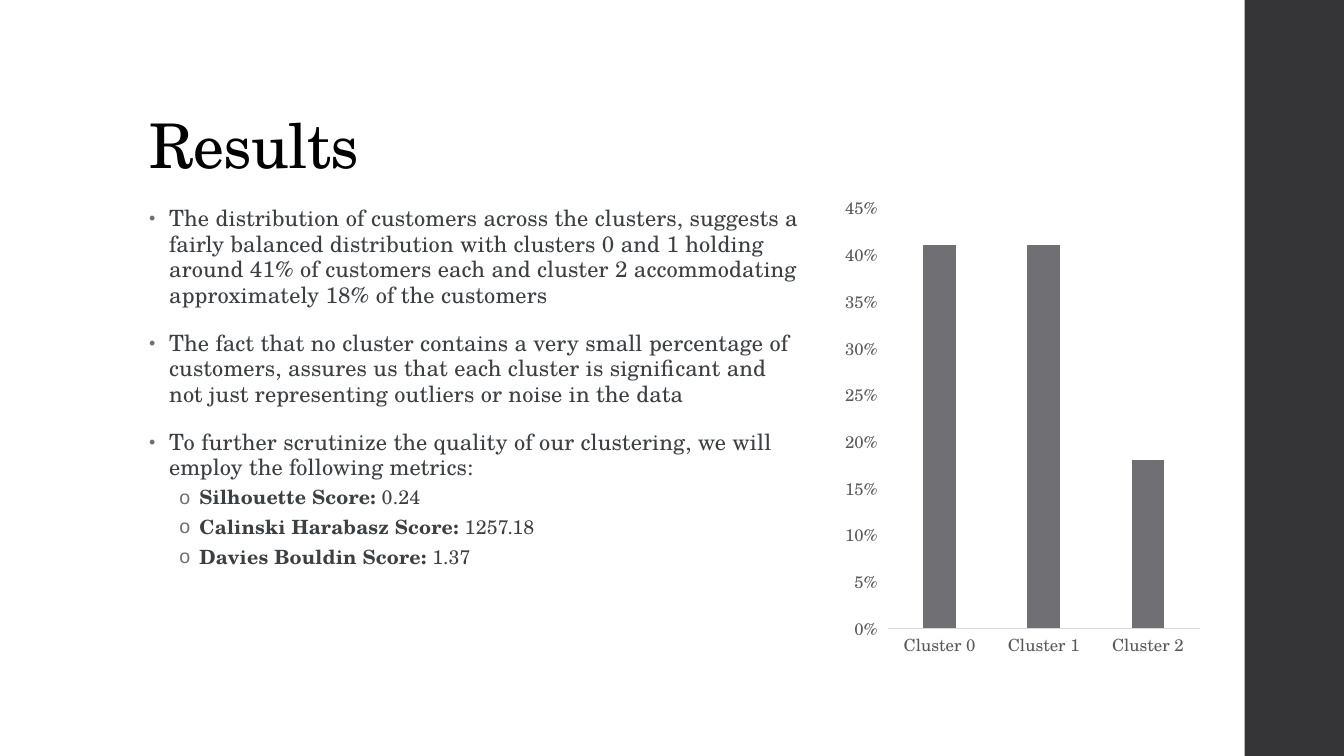
"""Build the clustering results slide with its findings and column chart."""
import lxml.etree
import pptx
import pptx.chart.data
import pptx.dml.color
import pptx.enum.chart
import pptx.enum.shapes
import pptx.enum.text
import pptx.oxml.ns
import pptx.util

Pt = pptx.util.Pt
FONT = "TeX Gyre Schola"
GREY = "6F6F74"


def rgb(value):
    return pptx.dml.color.RGBColor.from_string(value)


def style(font, size, color):
    font.name = FONT
    font.size = Pt(size)
    font.color.rgb = rgb(color)


deck = pptx.Presentation()
deck.slide_width, deck.slide_height = Pt(960), Pt(540)
page = deck.slides.add_slide(deck.slide_layouts[5])

band = page.shapes.add_shape(
    pptx.enum.shapes.MSO_SHAPE.RECTANGLE, Pt(889), Pt(0), Pt(71), Pt(540))
band.shadow.inherit = False
band.fill.solid()
band.fill.fore_color.rgb = rgb("353537")
band.line.fill.background()

title = page.shapes.title
title.left, title.top, title.width, title.height = Pt(99.4), Pt(28.8), Pt(763), Pt(104.4)
title.text_frame.text = "Results"
title.text_frame.vertical_anchor = pptx.enum.text.MSO_ANCHOR.BOTTOM
para = title.text_frame.paragraphs[0]
para.alignment = pptx.enum.text.PP_ALIGN.LEFT
para.line_spacing = 0.9
style(para.runs[0].font, 44, "000000")
para.runs[0].font._element.set("spc", "-50")

data = pptx.chart.data.CategoryChartData(number_format="0%")
data.categories = ["Cluster 0", "Cluster 1", "Cluster 2"]
data.add_series("Series 1", [0.41, 0.41, 0.18])
chart = page.shapes.add_chart(
    pptx.enum.chart.XL_CHART_TYPE.COLUMN_CLUSTERED,
    Pt(598.3), Pt(133.2), Pt(264.2), Pt(342.7), data).chart
chart.has_legend = False
chart.has_title = False
style(chart.font, 10, "000000")
plot = chart.plots[0]
plot.vary_by_categories = False
plot.gap_width, plot.overlap = 219, -27
columns = plot.series[0].format.fill
columns.solid()
columns.fore_color.rgb = rgb(GREY)
for axis in (chart.category_axis, chart.value_axis):
    axis.major_tick_mark = pptx.enum.chart.XL_TICK_MARK.NONE
    axis.has_major_gridlines = False
    style(axis.tick_labels.font, 12, "595959")
chart.category_axis.format.line.color.rgb = rgb("D9D9D9")
chart.category_axis.format.line.width = Pt(0.75)
share_axis = chart.value_axis
share_axis.major_tick_mark = pptx.enum.chart.XL_TICK_MARK.OUTSIDE
share_axis.format.line.fill.background()
share_axis.minimum_scale, share_axis.maximum_scale = 0, 0.45
share_axis.major_unit = 0.05
share_axis.tick_labels.number_format = "0%"
share_axis.tick_labels.number_format_is_linked = False

findings = [
    ("The distribution of customers across the clusters, suggests a fairly balanced "
     "distribution with clusters 0 and 1 holding around 41% of customers each and "
     "cluster 2 accommodating approximately 18% of the customers",),
    ("The fact that no cluster contains a very small percentage of customers, assures "
     "us that each cluster is significant and not just representing outliers or noise "
     "in the data",),
    ("To further scrutinize the quality of our clustering, we will employ the "
     "following metrics:",),
    ("Silhouette Score:", " 0.24"),
    ("Calinski Harabasz Score:", " 1257.18"),
    ("Davies Bouldin Score:", " 1.37"),
]
box = page.shapes.add_textbox(Pt(99.4), Pt(144), Pt(484.6), Pt(367.2))
frame = box.text_frame
frame.word_wrap = True
for index, parts in enumerate(findings):
    para = frame.add_paragraph() if index else frame.paragraphs[0]
    metric = len(parts) == 2
    para.level = int(metric)
    para.line_spacing = 0.9 if metric else 0.95
    para.space_before = Pt(3 if metric else 14)
    para.space_after = Pt(3 if metric else 2)
    for position, words in enumerate(parts):
        span = para.add_run()
        span.text = words
        style(span.font, 14 if metric else 16, "3C4043")
        span.font.bold = metric and position == 0
        span.font._element.set("spc", "10")
    settings = para._p.get_or_add_pPr()
    settings.set("marL", str(Pt(36 if metric else 14.4)))
    settings.set("indent", str(Pt(-14.4)))
    color = lxml.etree.SubElement(settings, pptx.oxml.ns.qn("a:buClr"))
    lxml.etree.SubElement(color, pptx.oxml.ns.qn("a:srgbClr"), val=GREY)
    size = "100000" if metric else "80000"
    lxml.etree.SubElement(settings, pptx.oxml.ns.qn("a:buSzPct"), val=size)
    lxml.etree.SubElement(settings, pptx.oxml.ns.qn("a:buFont"), typeface="Arial")
    mark = "o" if metric else "•"
    lxml.etree.SubElement(settings, pptx.oxml.ns.qn("a:buChar"), char=mark)

deck.save("out.pptx")
